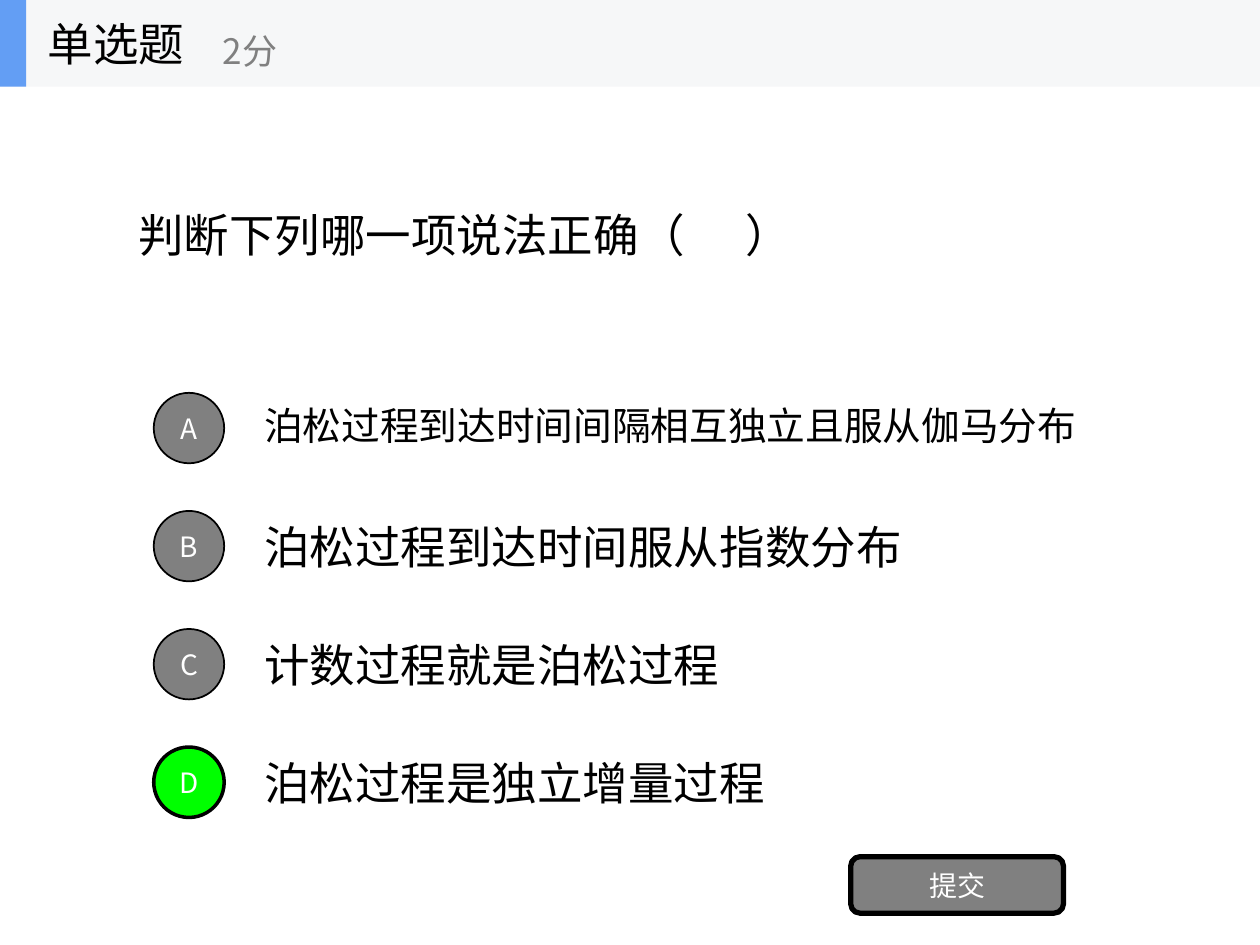
from dataclasses import dataclass

from lxml import etree
from pptx import Presentation
from pptx.dml.color import RGBColor
from pptx.enum.shapes import MSO_SHAPE
from pptx.enum.text import MSO_ANCHOR, PP_ALIGN
from pptx.oxml.ns import qn
from pptx.util import Cm, Pt

RECT, OVAL, ROUND = MSO_SHAPE.RECTANGLE, MSO_SHAPE.OVAL, MSO_SHAPE.ROUNDED_RECTANGLE
LEFT, CENTER = PP_ALIGN.LEFT, PP_ALIGN.CENTER
MIDDLE = MSO_ANCHOR.MIDDLE


@dataclass(frozen=True)
class Theme:
    font: str = "Noto Sans CJK SC"
    ink: str = "000000"
    white: str = "FFFFFF"
    gray: str = "808080"
    green: str = "00FF00"
    bar: str = "F6F7F8"
    blue: str = "639EF4"
    body: float = 26
    tight: float = 22.1
    score: float = 20
    label: float = 16


THEME = Theme()
OPTIONS = [
    ("A", "泊松过程到达时间间隔相互独立且服从伽马分布"),
    ("B", "泊松过程到达时间服从指数分布"),
    ("C", "计数过程就是泊松过程"),
    ("D", "泊松过程是独立增量过程"),
]
ANSWER = "D"
LONG = 20


def write(shape, text, size, color, align=LEFT, stop=None, spacing=None):
    """Set one line of text; stop is an optional tab position in cm."""
    frame = shape.text_frame
    frame.word_wrap = True
    frame.vertical_anchor = MIDDLE
    para = frame.paragraphs[0]
    para.alignment = align
    if spacing:
        para.line_spacing = spacing
    if stop:
        tabs = etree.SubElement(para._p.get_or_add_pPr(), qn("a:tabLst"))
        etree.SubElement(tabs, qn("a:tab"), pos=str(Cm(stop)), algn="l")
    run = para.add_run()
    run.text = text
    font = run.font
    font.size, font.name = Pt(size), THEME.font
    font.color.rgb = RGBColor.from_string(color)
    etree.SubElement(run._r.get_or_add_rPr(), qn("a:ea"), typeface=THEME.font)


def label(shapes, box, text, size, color, **style):
    write(shapes.add_textbox(*map(Cm, box)), text, size, color, **style)


def block(shapes, kind, box, fill, width=0):
    """Add a filled shape; a width of 0 means no outline."""
    shape = shapes.add_shape(kind, *map(Cm, box))
    shape.shadow.inherit = False
    shape.fill.solid()
    shape.fill.fore_color.rgb = RGBColor.from_string(fill)
    if width:
        shape.line.color.rgb = RGBColor.from_string(THEME.ink)
        shape.line.width = Pt(width)
    else:
        shape.line.fill.background()
    return shape


def header(slide, x, y, w, h):
    shapes = slide.shapes.add_group_shape().shapes
    block(shapes, RECT, (x, y, w, h), THEME.bar)
    block(shapes, RECT, (x, y, 0.53, h), THEME.blue)
    label(shapes, (x + 0.71, y, 5.28, h), "单选题", THEME.body, THEME.ink)
    label(shapes, (x + 4.24, y + 0.31, 6.35, 1.42), "2分", THEME.score, THEME.gray)


def question(slide, x, y, w, h):
    label(slide.shapes, (x, y, w, h), "判断下列哪一项说法正确（\t）",
          THEME.body, THEME.ink, stop=12.24)


def option(slide, x, y, w, h, key, text):
    size, right = 1.42, key == ANSWER
    disc = block(slide.shapes, OVAL, (x, y + (h - size) / 2, size, size),
                 THEME.green if right else THEME.gray, 2 if right else 1)
    write(disc, key, THEME.label, THEME.white, CENTER)
    tight = len(text) > LONG
    inset = 1.98
    label(slide.shapes, (x + inset, y, w - inset, h), text,
          THEME.tight if tight else THEME.body, THEME.ink,
          spacing=0.9 if tight else None)


def options(slide, x, y, w, h):
    """Share the height evenly among the answer rows."""
    row = 1.78
    step = (h - row) / (len(OPTIONS) - 1)
    for i, (key, text) in enumerate(OPTIONS):
        option(slide, x, y + i * step, w, row, key, text)


def button(slide, x, y, w, h):
    shape = block(slide.shapes, ROUND, (x, y, w, h), THEME.gray, 3)
    write(shape, "提交", THEME.label, THEME.white, CENTER)


def main():
    deck = Presentation()
    deck.slide_width, deck.slide_height = Cm(25.4), Cm(19.05)
    slide = deck.slides.add_slide(deck.slide_layouts[6])
    question(slide, 2.54, 1.75, 20.32, 5.95)
    options(slide, 3.1, 7.74, 19.76, 8.92)
    button(slide, 17.15, 17.27, 4.29, 1.14)
    header(slide, 0, 0, 25.4, 1.75)
    deck.save("out.pptx")


if __name__ == "__main__":
    main()
